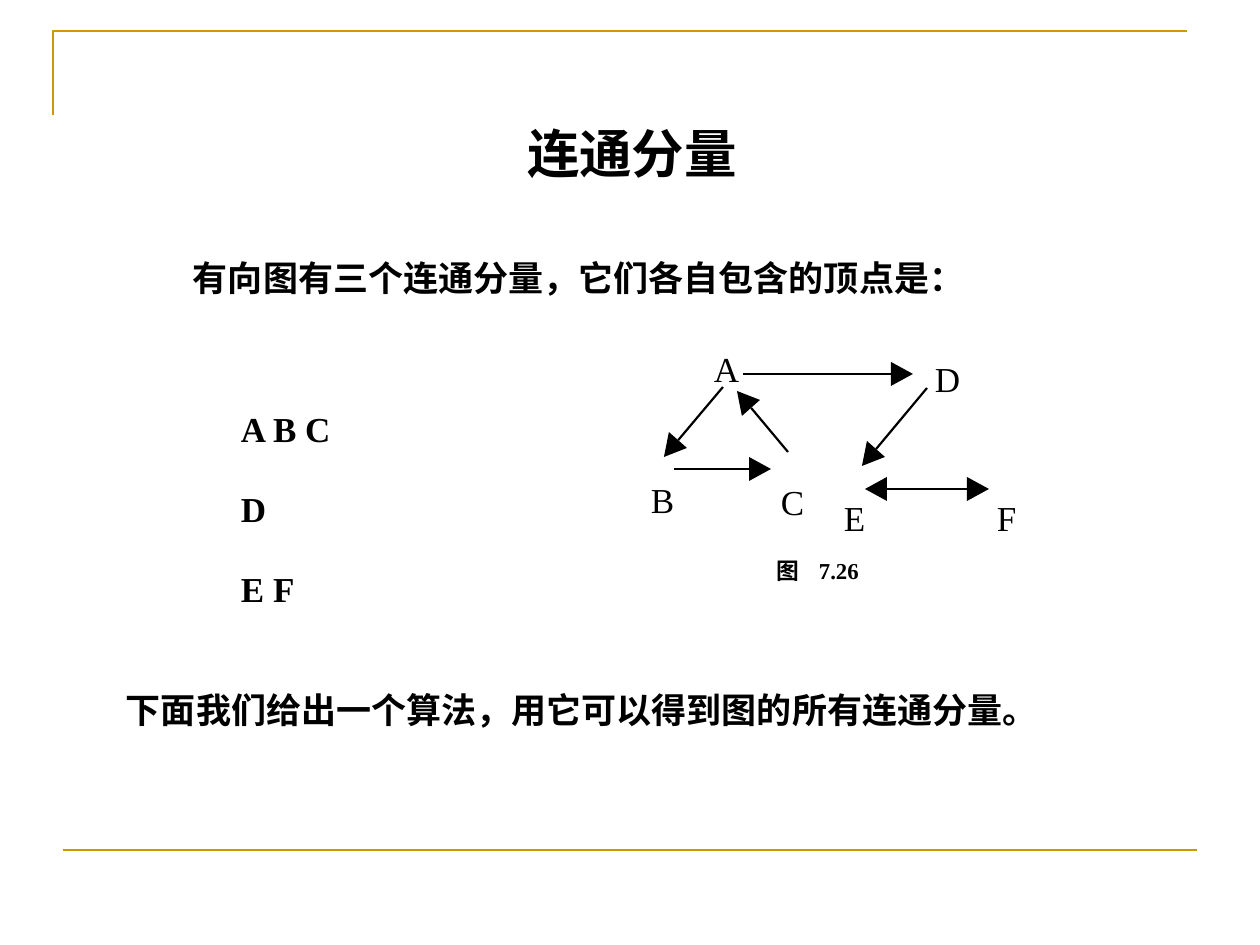
import math

from lxml import etree
from pptx import Presentation
from pptx.dml.color import RGBColor
from pptx.enum.shapes import MSO_CONNECTOR
from pptx.enum.text import MSO_AUTO_SIZE, PP_ALIGN
from pptx.oxml.ns import qn
from pptx.util import Emu, Pt

STRAIGHT = MSO_CONNECTOR.STRAIGHT
FIT_TEXT = MSO_AUTO_SIZE.SHAPE_TO_FIT_TEXT
CENTER = PP_ALIGN.CENTER
BLACK = RGBColor(0x00, 0x00, 0x00)
GOLD = RGBColor(0xCC, 0x99, 0x00)
SERIF = "Times New Roman"
SANS = "Arial"
CJK = "Noto Sans CJK SC"
SCALE = 914400 / 126
HEAD_LENGTH = 22
HEAD_HALF = 12


def px(length):
    return Emu(round(length * SCALE))


class GraphSlide:
    """Draws text, rules and arrows on one slide, measured in px."""

    def __init__(self, slide):
        self.shapes = slide.shapes

    def text(self, box, content, size=20, font=SERIF, bold=True):
        label = self.shapes.add_textbox(*map(px, box))
        frame = label.text_frame
        frame.margin_left = frame.margin_right = 0
        frame.margin_top = frame.margin_bottom = 0
        frame.word_wrap = False
        frame.auto_size = FIT_TEXT
        frame.text = content
        run = frame.paragraphs[0].runs[0]
        run.font.size = Pt(size)
        run.font.bold = bold
        run.font.name = font
        run.font.color.rgb = BLACK
        east_asian = etree.SubElement(run.font._element, qn("a:ea"))
        east_asian.set("typeface", CJK)
        return frame

    def title(self, box, content):
        frame = self.text(box, content, 30, SANS)
        frame.auto_size = MSO_AUTO_SIZE.NONE
        frame.word_wrap = True
        frame.margin_top = px(6)
        frame.paragraphs[0].alignment = CENTER

    def line(self, start, end, color=BLACK, width=1.25):
        rule = self.shapes.add_connector(STRAIGHT, *map(px, (*start, *end)))
        rule.line.color.rgb = color
        rule.line.width = Pt(width)
        etree.SubElement(rule._element.spPr, qn("a:effectLst"))

    def outline(self, points, closed):
        builder = self.shapes.build_freeform(*points[0], scale=SCALE)
        builder.add_line_segments(points[1:], close=closed)
        shape = builder.convert_to_shape()
        shape.shadow.inherit = False
        return shape

    def corner(self, points):
        bracket = self.outline(points, False)
        bracket.fill.background()
        bracket.line.color.rgb = GOLD
        bracket.line.width = Pt(1.5)

    def head(self, tip, angle):
        base_x = tip[0] - HEAD_LENGTH * math.cos(angle)
        base_y = tip[1] - HEAD_LENGTH * math.sin(angle)
        across, down = HEAD_HALF * math.sin(angle), HEAD_HALF * math.cos(angle)
        triangle = self.outline([
            tip,
            (round(base_x - across), round(base_y + down)),
            (round(base_x + across), round(base_y - down)),
        ], True)
        triangle.fill.solid()
        triangle.fill.fore_color.rgb = BLACK
        triangle.line.fill.background()
        return base_x, base_y

    def arrow(self, tail, tip, both=False):
        angle = math.atan2(tip[1] - tail[1], tip[0] - tail[0])
        end = self.head(tip, angle)
        start = self.head(tail, angle + math.pi) if both else tail
        self.line(start, end)


def main():
    deck = Presentation()
    deck.slide_width, deck.slide_height = px(1260), px(945)
    page = GraphSlide(deck.slides.add_slide(deck.slide_layouts[6]))

    page.corner([(53, 115), (53, 31), (1187, 31)])
    page.line((63, 850), (1197, 850), GOLD, 1.5)
    page.title((111, 115, 1042, 700), "连通分量")
    page.text((193, 256, 782, 43),
              "有向图有三个连通分量，它们各自包含的顶点是：", font=CJK)
    components = [("A B C", 115), ("D", 43), ("E F", 74)]
    for row, (component, width) in enumerate(components):
        page.text((241, 408 + 80 * row, width, 49), component)
    page.text((126, 688, 1033, 42),
              "下面我们给出一个算法，用它可以得到图的所有连通分量。", font=CJK)

    vertices = {"A": (714, 347), "B": (651, 478), "C": (781, 480),
                "D": (935, 357), "E": (844, 496), "F": (997, 496)}
    for vertex, corner in vertices.items():
        page.text((*corner, 24, 42), vertex, bold=False)
    edges = [((743, 374), (913, 374)), ((723, 387), (664, 457)),
             ((674, 469), (771, 469)), ((788, 452), (737, 391)),
             ((927, 388), (862, 466))]
    for tail, tip in edges:
        page.arrow(tail, tip)
    page.arrow((865, 489), (989, 489), both=True)

    page.text((777, 557, 23, 28), "图", 13, CJK)
    page.text((819, 557, 40, 28), "7.26", 13)
    deck.save("out.pptx")


if __name__ == "__main__":
    main()
